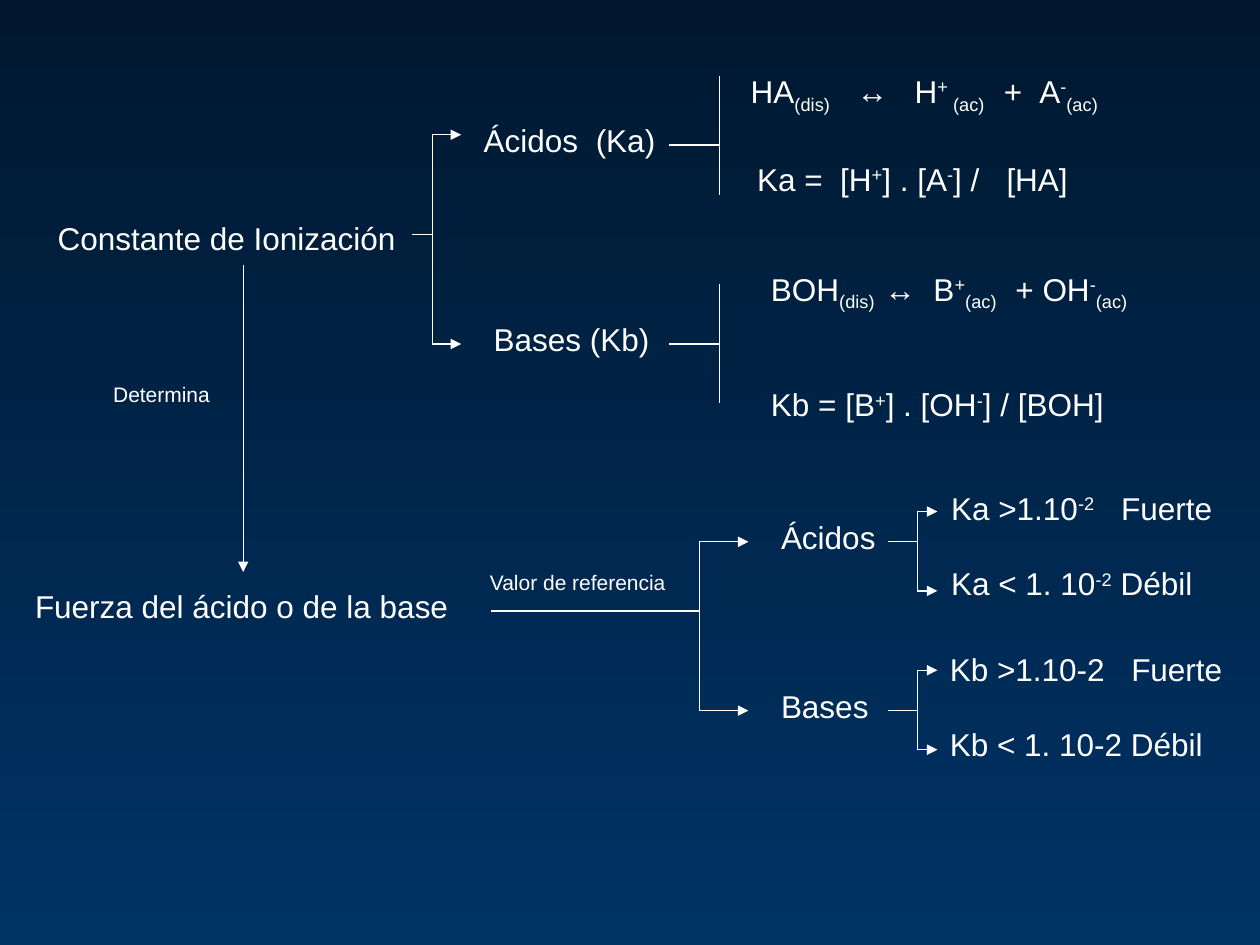
"""Build a concept map slide about ionization constants of acids and bases."""
import pptx
import pptx.dml.color
import pptx.enum.shapes
import pptx.enum.text
import pptx.oxml.ns
import pptx.util
from lxml import etree
from pptx.util import Inches

WHITE = pptx.dml.color.RGBColor(0xFF, 0xFF, 0xFF)
NIGHT = pptx.dml.color.RGBColor(0x00, 0x18, 0x2F)
NAVY = pptx.dml.color.RGBColor(0x00, 0x33, 0x66)
SUB, BASE, SUP = -25000, 0, 30000
qn = pptx.oxml.ns.qn


def add_label(left, top, width, height, size, rows, gap=0, tabs=()):
    label = slide.shapes.add_textbox(Inches(left), Inches(top), Inches(width), Inches(height))
    frame = label.text_frame
    frame.word_wrap = True
    frame.auto_size = pptx.enum.text.MSO_AUTO_SIZE.SHAPE_TO_FIT_TEXT
    for number, row in enumerate(rows):
        paragraph = frame.add_paragraph() if number else frame.paragraphs[0]
        if number:
            paragraph.space_before = pptx.util.Pt(gap)
        elif tabs:
            stops = etree.SubElement(paragraph._p.get_or_add_pPr(), qn("a:tabLst"))
            for position in tabs:
                etree.SubElement(stops, qn("a:tab"), pos=str(Inches(position)), algn="l")
        for text, baseline in row:
            run = paragraph.add_run()
            run.text = text
            run.font.name = "Arial"
            run.font.size = pptx.util.Pt(size)
            run.font.color.rgb = WHITE
            if baseline != BASE:
                run._r.get_or_add_rPr().set("baseline", str(baseline))


def add_line(x1, y1, x2, y2, arrow=False):
    line = slide.shapes.add_connector(
        pptx.enum.shapes.MSO_CONNECTOR.STRAIGHT, Inches(x1), Inches(y1), Inches(x2), Inches(y2))
    line.line.color.rgb = WHITE
    line.line.width = pptx.util.Pt(0.75)
    if arrow:
        etree.SubElement(line.line._get_or_add_ln(), qn("a:tailEnd"), type="triangle")
    etree.SubElement(line._element.spPr, qn("a:effectLst"))


deck = pptx.Presentation()
deck.slide_width, deck.slide_height = Inches(10), Inches(7.5)
slide = deck.slides.add_slide(deck.slide_layouts[6])

backdrop = slide.background.fill
backdrop.gradient()
backdrop.gradient_angle = 270
for stop, color, position in zip(backdrop.gradient_stops, (NIGHT, NAVY), (0, 1)):
    stop.color.rgb = color
    stop.position = position

concepts = [
    ("Constante de Ionización", 0.36, 1.69, 2.94, 0.4, 18, ()),
    ("Ácidos\t(Ka)", 3.74, 0.91, 1.64, 0.4, 18, (0.89,)),
    ("Bases (Kb)", 3.82, 2.49, 1.49, 0.4, 18, ()),
    ("Determina", 0.8, 2.98, 1.03, 0.3, 12, ()),
    ("Fuerza del ácido o de la base", 0.18, 4.61, 3.54, 0.4, 18, ()),
    ("Valor de referencia", 3.79, 4.47, 1.67, 0.3, 12, ()),
    ("Ácidos", 6.1, 4.06, 1.01, 0.4, 18, ()),
    ("Bases", 6.1, 5.4, 0.95, 0.4, 18, ()),
]
for text, left, top, width, height, size, tabs in concepts:
    add_label(left, top, width, height, size, [[(text, BASE)]], tabs=tabs)

acid_reaction = [("HA", BASE), ("(dis)", SUB), ("\t↔\tH", BASE), ("+ ", SUP), ("(ac)", SUB),
                 ("\t+\tA", BASE), ("-", SUP), ("(ac)", SUB)]
acid_constant = [("Ka =\t[H", BASE), ("+", SUP), ("] . [A", BASE), ("-", SUP),
                 ("] /\t[HA]", BASE)]
base_reaction = [("BOH", BASE), ("(dis)", SUB), ("\t↔\tB", BASE), ("+", SUP), ("(ac)", SUB),
                 ("\t+ OH", BASE), ("-", SUP), ("(ac)", SUB)]
base_constant = [("Kb = [B", BASE), ("+", SUP), ("] . [OH", BASE), ("-", SUP),
                 ("] / [BOH]", BASE)]
acid_strength = [[("Ka >1.10", BASE), ("-2", SUP), ("\tFuerte", BASE)],
                 [("Ka < 1. 10", BASE), ("-2", SUP), (" Débil", BASE)]]
base_strength = [[("Kb >1.10-2\tFuerte", BASE)], [("Kb < 1. 10-2 Débil", BASE)]]

add_label(5.86, 0.52, 3.05, 0.44, 18, [acid_reaction], tabs=(0.84, 1.3, 2.01, 2.29))
add_label(5.91, 1.22, 2.75, 0.4, 18, [acid_constant], tabs=(0.66, 1.98))
add_label(6.02, 2.09, 3.12, 1.43, 18, [base_reaction, base_constant], 41.4, (0.9, 1.29, 1.94))
add_label(7.45, 3.83, 2.35, 1, 18, acid_strength, 21.5, (1.35,))
add_label(7.44, 5.11, 2.44, 1, 18, base_strength, 21.5, (1.44,))

add_line(1.93, 2.1, 1.93, 4.54, arrow=True)
brackets = [
    (3.27, 1.86, 3.43, 1.07, 2.73, 3.66),
    (5.31, 1.15, 5.71, 0.6, 1.55, None),
    (5.31, 2.73, 5.71, 2.25, 3.2, None),
    (3.9, 4.85, 5.55, 4.3, 5.64, 5.94),
    (7.05, 4.3, 7.28, 4.06, 4.69, 7.44),
    (7.05, 5.64, 7.28, 5.32, 5.95, 7.44),
]
for stem_left, stem_y, spine_x, top, bottom, arrow_tip in brackets:
    add_line(stem_left, stem_y, spine_x, stem_y)
    add_line(spine_x, top, spine_x, bottom)
    if arrow_tip:
        for branch_y in (top, bottom):
            add_line(spine_x, branch_y, arrow_tip, branch_y, arrow=True)

deck.save("out.pptx")
